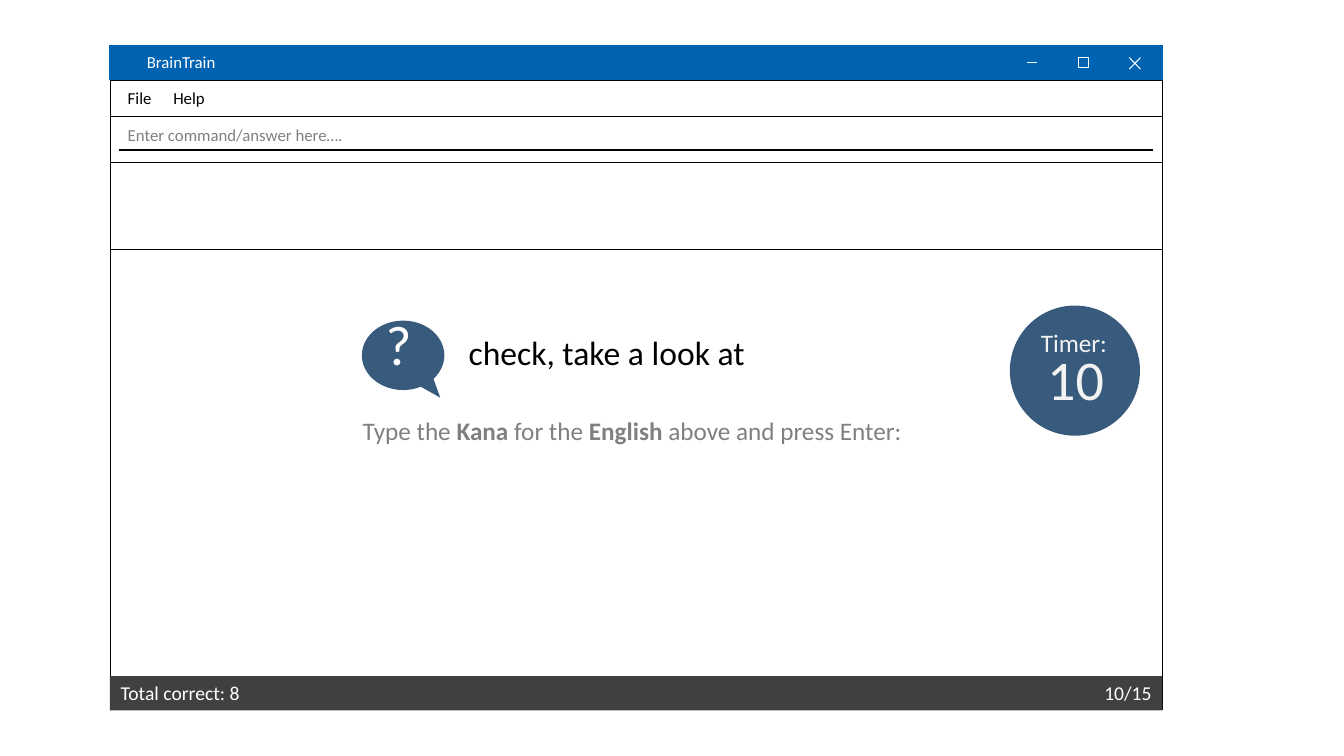
from dataclasses import dataclass
from typing import NamedTuple, Optional

from lxml import etree
from pptx import Presentation
from pptx.dml.color import RGBColor
from pptx.enum.shapes import MSO_CONNECTOR, MSO_SHAPE
from pptx.enum.text import MSO_AUTO_SIZE, PP_ALIGN
from pptx.oxml.ns import qn
from pptx.slide import Slide
from pptx.util import Cm, Pt

RECT = MSO_SHAPE.RECTANGLE
OVAL = MSO_SHAPE.OVAL
BUBBLE = MSO_SHAPE.OVAL_CALLOUT
STRAIGHT = MSO_CONNECTOR.STRAIGHT
LEFT, CENTER = PP_ALIGN.LEFT, PP_ALIGN.CENTER
FIT_SHAPE = MSO_AUTO_SIZE.SHAPE_TO_FIT_TEXT


@dataclass(frozen=True)
class Theme:
    font: str = "Calibri"
    white: str = "FFFFFF"
    black: str = "000000"
    title_blue: str = "0063B1"
    badge_blue: str = "385A7D"
    status_grey: str = "404040"
    hint_grey: str = "808080"
    timer_text: str = "F2F2F2"
    small: int = 12
    status: int = 14
    prompt: int = 18
    question: int = 24
    huge: int = 40
    hairline: float = 0.25
    thin: float = 0.75
    edge: float = 1


class Box(NamedTuple):
    """Left, top, width and height in centimetres."""
    left: float
    top: float
    width: float
    height: float


class Panel(NamedTuple):
    kind: int
    box: Box
    fill: Optional[str] = None
    line: Optional[str] = None
    weight: float = 0
    adjustments: tuple[float, ...] = ()


class Stroke(NamedTuple):
    x1: float
    y1: float
    x2: float
    y2: float
    color: str


class Label(NamedTuple):
    """Text whose runs alternate between regular and bold."""
    runs: tuple[str, ...]
    box: Box
    size: int
    color: str
    align: int = LEFT


T = Theme()
WINDOW = Box(2.77, 1.14, 26.52, 16.74)


def band(top: float, height: float) -> Box:
    """Return a strip across the full window width."""
    return Box(WINDOW.left, top, WINDOW.width, height)


PANELS = [
    Panel(RECT, WINDOW, T.white, T.black, T.hairline),
    Panel(RECT, band(1.14, 0.87), T.title_blue, T.title_blue, T.edge),
    Panel(RECT, Box(27.18, 1.45, 0.25, 0.25), None, T.white, T.edge),
    Panel(RECT, band(2.01, 0.93), None, T.black, T.hairline),
    Panel(RECT, band(17.04, 0.86), T.status_grey),
    Panel(BUBBLE, Box(9.12, 8.08, 2.08, 1.75), T.badge_blue,
          adjustments=(0.45, 0.61)),
    Panel(OVAL, Box(25.45, 7.7, 3.28, 3.28), T.badge_blue),
    Panel(RECT, band(4.09, 2.18), None, T.black, T.hairline),
]

STROKES = [
    Stroke(25.88, 1.57, 26.14, 1.57, T.white),
    Stroke(28.46, 1.45, 28.74, 1.74, T.white),
    Stroke(28.74, 1.45, 28.46, 1.74, T.white),
    Stroke(3, 3.78, 29.06, 3.78, T.black),
]

LABELS = [
    Label(("BrainTrain",), Box(3.45, 1.19, 2.26, 0.76), T.small, T.white),
    Label(("File",), Box(2.97, 2.08, 1.12, 0.76), T.small, T.black),
    Label(("Help",), Box(4.09, 2.08, 1.35, 0.76), T.small, T.black, CENTER),
    Label(("Enter command/answer here….",), Box(2.97, 3.02, 5.99, 0.76),
          T.small, T.hint_grey),
    Label(("10/15",), Box(27.58, 17.04, 1.73, 0.86), T.status, T.white),
    Label(("Total correct: 8",), Box(2.79, 17.04, 3.53, 0.86),
          T.status, T.white),
    Label(("?",), Box(9.47, 7.67, 1.35, 1.96), T.huge, T.white),
    Label(("check, take a look at",), Box(11.56, 8.23, 7.52, 1.27),
          T.question, T.black),
    Label(("Type the ", "Kana ", "for the ", "English ",
           "above and press Enter:"),
          Box(8.89, 10.34, 14.27, 1.02), T.prompt, T.hint_grey),
    Label(("10",), Box(26.04, 8.56, 2.13, 1.96), T.huge, T.timer_text, CENTER),
    Label(("Timer:",), Box(25.98, 8.13, 2.21, 1.02), T.prompt, T.timer_text),
]


def rgb(color: str) -> RGBColor:
    return RGBColor.from_string(color)


def draw_panel(s: Slide, panel: Panel) -> None:
    sp = s.shapes.add_shape(panel.kind, *map(Cm, panel.box))
    sp.shadow.inherit = False
    for i, value in enumerate(panel.adjustments):
        sp.adjustments[i] = value
    if panel.fill:
        sp.fill.solid()
        sp.fill.fore_color.rgb = rgb(panel.fill)
    else:
        sp.fill.background()
    if panel.line:
        sp.line.color.rgb = rgb(panel.line)
        sp.line.width = Pt(panel.weight)
    else:
        sp.line.fill.background()


def draw_stroke(s: Slide, stroke: Stroke) -> None:
    ends = map(Cm, (stroke.x1, stroke.y1, stroke.x2, stroke.y2))
    line = s.shapes.add_connector(STRAIGHT, *ends)
    line.line.color.rgb = rgb(stroke.color)
    line.line.width = Pt(T.thin)
    etree.SubElement(line._element.spPr, qn("a:effectLst"))


def draw_label(s: Slide, label: Label) -> None:
    tf = s.shapes.add_textbox(*map(Cm, label.box)).text_frame
    tf.word_wrap = False
    tf.auto_size = FIT_SHAPE
    p = tf.paragraphs[0]
    p.alignment = label.align
    for i, text in enumerate(label.runs):
        r = p.add_run()
        r.text = text
        style = {"name": T.font, "size": Pt(label.size), "bold": i % 2 == 1}
        for attr, value in style.items():
            setattr(r.font, attr, value)
        r.font.color.rgb = rgb(label.color)


def main() -> None:
    prs = Presentation()
    prs.slide_width, prs.slide_height = Cm(33.87), Cm(19.05)
    s = prs.slides.add_slide(prs.slide_layouts[6])
    for panel in PANELS:
        draw_panel(s, panel)
    for stroke in STROKES:
        draw_stroke(s, stroke)
    for label in LABELS:
        draw_label(s, label)
    prs.save("out.pptx")


if __name__ == "__main__":
    main()
